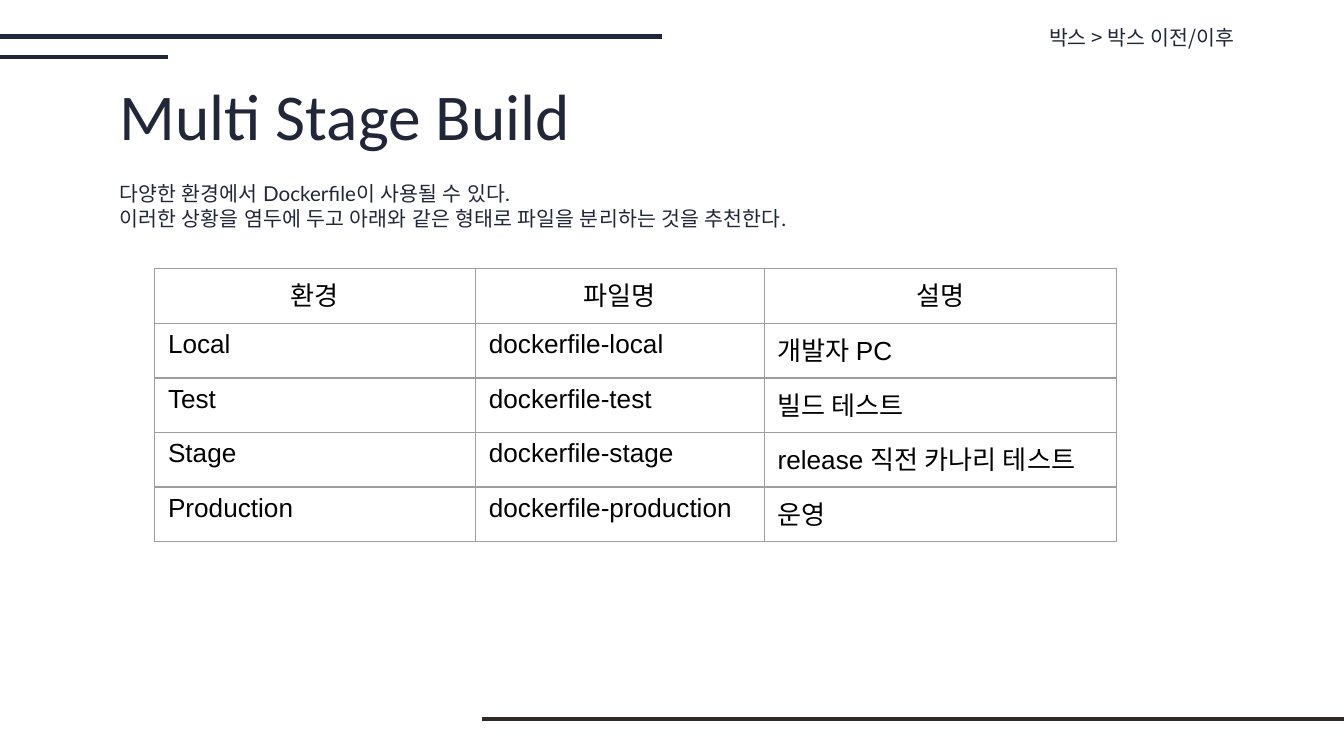
import pptx
import pptx.util
import pptx.dml.color
import pptx.enum.shapes
import pptx.enum.text
import pptx.oxml
import pptx.oxml.ns

Pt = pptx.util.Pt
Align = pptx.enum.text.PP_ALIGN
Mid = pptx.enum.text.MSO_ANCHOR.MIDDLE
Top = pptx.enum.text.MSO_ANCHOR.TOP

THEME = {
    "navy": "212739", "dark": "302926", "black": "000000", "grid": "9E9E9E",
    "rule": 2.25, "edge": 0.75,
    # type style: latin font, East Asian font, size, colour
    "crumb": ("Noto Sans CJK KR", "Noto Sans CJK KR", 11, "navy"),
    "title": ("Calibri", "Calibri", 35, "navy"),
    "intro": ("Lato", "Lato", 11, "navy"),
    "cell": ("Arial", "Noto Sans CJK KR", 14, "black"),
}
WIDE, HIGH = 720, 405

CRUMB = ["박스 > 박스 이전/이후"]
TITLE = ["Multi Stage Build"]
INTRO = [
    "다양한 환경에서 Dockerfile이 사용될 수 있다.",
    "이러한 상황을 염두에 두고 아래와 같은 형태로 파일을 분리하는 것을 추천한다.",
]
ROWS = [
    ("환경", "파일명", "설명"),
    ("Local", "dockerfile-local", "개발자 PC"),
    ("Test", "dockerfile-test", "빌드 테스트"),
    ("Stage", "dockerfile-stage", "release 직전 카나리 테스트"),
    ("Production", "dockerfile-production", "운영"),
]
COLS = (171.9, 154.7, 188.9)
STEP = 29.25
# left, right, height on the slide, colour
RULES = [(0, 354.8, 19.6, "navy"), (0, 90, 30.6, "navy"),
         (258.4, WIDE, 385, "dark")]


def color(name):
    return pptx.dml.color.RGBColor.from_string(THEME[name])


def write(frame, lines, style, align=Align.LEFT):
    face, asian, size, tint = THEME[style]
    for i, line in enumerate(lines):
        para = frame.paragraphs[0] if i == 0 else frame.add_paragraph()
        para.alignment = align
        run = para.add_run()
        run.text = line
        for key, val in {"name": face, "size": Pt(size), "bold": False}.items():
            setattr(run.font, key, val)
        run.font.color.rgb = color(tint)
        ea = pptx.oxml.ns.qn("a:ea")
        run.font._element.find(pptx.oxml.ns.qn("a:latin")).addnext(
            run.font._element.makeelement(ea, {"typeface": asian}))


def place(shape, box):
    for key, val in zip(("left", "top", "width", "height"), box):
        setattr(shape, key, Pt(val))


def fit(frame, anchor, pad):
    """Set wrapping, anchor and insets; pad is the top and bottom inset."""
    form = {"word_wrap": True, "vertical_anchor": anchor,
            "auto_size": pptx.enum.text.MSO_AUTO_SIZE.NONE,
            "margin_left": Pt(7.2), "margin_right": Pt(7.2),
            "margin_top": Pt(pad), "margin_bottom": Pt(pad)}
    for key, val in form.items():
        setattr(frame, key, val)


def label(slide, box, lines, style, align, anchor, pad):
    frame = slide.shapes.add_textbox(*map(Pt, box)).text_frame
    fit(frame, anchor, pad)
    write(frame, lines, style, align)


def rule(slide, left, right, y, tint):
    line = slide.shapes.add_connector(
        pptx.enum.shapes.MSO_CONNECTOR.STRAIGHT,
        Pt(left), Pt(y), Pt(right), Pt(y))
    line.line.color.rgb = color(tint)
    line.line.width = Pt(THEME["rule"])
    props = line._element.spPr
    props.append(props.makeelement(pptx.oxml.ns.qn("a:effectLst"), {}))


def border(cell):
    props = cell._tc.get_or_add_tcPr()
    for i, side in enumerate(("lnL", "lnR", "lnT", "lnB")):
        props.insert(i, pptx.oxml.parse_xml(
            f'<a:{side} {pptx.oxml.ns.nsdecls("a")} w="{Pt(THEME["edge"])}">'
            f'<a:solidFill><a:srgbClr val="{THEME["grid"]}"/></a:solidFill>'
            f'</a:{side}>'))


def grid(slide, left, top):
    table = slide.shapes.add_table(
        len(ROWS), len(COLS), Pt(left), Pt(top),
        Pt(sum(COLS)), Pt(STEP * len(ROWS))).table
    table.first_row = table.horz_banding = False
    for col, width in zip(table.columns, COLS):
        col.width = Pt(width)
    for r, texts in enumerate(ROWS):
        table.rows[r].height = Pt(STEP)
        for c, text in enumerate(texts):
            cell = table.cell(r, c)
            cell.fill.background()
            border(cell)
            write(cell.text_frame, [text], "cell",
                  Align.LEFT if r else Align.CENTER)


def main():
    deck = pptx.Presentation()
    deck.slide_width, deck.slide_height = Pt(WIDE), Pt(HIGH)
    slide = deck.slides.add_slide(deck.slide_layouts[5])
    for item in RULES:
        rule(slide, *item)
    label(slide, (457.2, 8.6, 211, 23), CRUMB, "crumb", Align.RIGHT, Mid, 7.2)
    title = slide.shapes.title
    place(title, (56.9, 42.5, 607, 37.4))
    fit(title.text_frame, Mid, 7.2)
    write(title.text_frame, TITLE, "title")
    label(slide, (56.9, 93.6, 582.5, 33.8), INTRO, "intro", Align.LEFT, Top, 3.6)
    grid(slide, 82.8, 144)
    deck.save("out.pptx")


if __name__ == "__main__":
    main()
